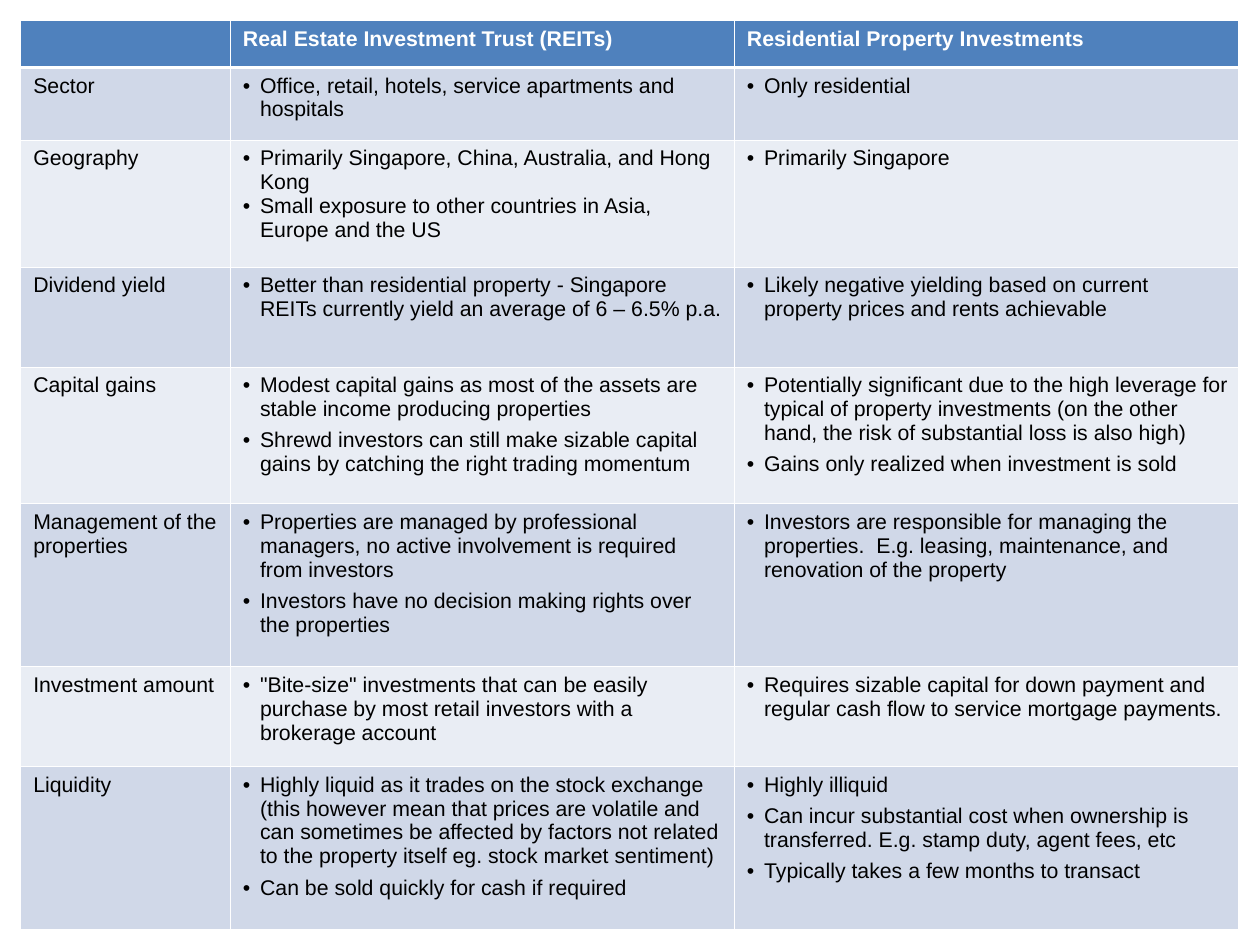
import pptx
import pptx.util
import pptx.dml.color
import pptx.oxml
import pptx.oxml.ns
from pptx.util import Inches

COLORS = {"header": "4F81BD", "odd": "D0D8E8", "even": "E9EDF4",
          "white": "FFFFFF", "text": "000000"}
COLUMN_WIDTHS = [2.33, 5.6, 5.6]
ROW_HEIGHTS = [0.52, 0.81, 1.41, 1.11, 1.52, 1.81, 1.11, 1.81]
HEADINGS = ["", "Real Estate Investment Trust (REITs)",
            "Residential Property Investments"]
# Topic, REIT points, residential points, space after each point
TOPICS = [
    ("Sector",
     ["Office, retail, hotels, service apartments and hospitals"],
     ["Only residential"], 0),
    ("Geography",
     ["Primarily Singapore, China, Australia, and Hong Kong",
      "Small exposure to other countries in Asia, Europe and the US"],
     ["Primarily Singapore"], 0),
    ("Dividend yield",
     ["Better than residential property - Singapore REITs currently yield "
      "an average of 6 – 6.5% p.a."],
     ["Likely negative yielding based on current property prices and rents "
      "achievable"], 0),
    ("Capital gains",
     ["Modest capital gains as most of the assets are stable income "
      "producing properties",
      "Shrewd investors can still make sizable capital gains by catching "
      "the right trading momentum"],
     ["Potentially significant due to the high leverage for typical of "
      "property investments (on the other hand, the risk of substantial "
      "loss is also high)",
      "Gains only realized when investment is sold"], 6),
    ("Management of the properties",
     ["Properties are managed by professional managers, no active "
      "involvement is required from investors",
      "Investors have no decision making rights over the properties"],
     ["Investors are responsible for managing the properties.  E.g. "
      "leasing, maintenance, and renovation of the property"], 6),
    ("Investment amount",
     ['"Bite-size" investments that can be easily purchase by most retail '
      "investors with a brokerage account"],
     ["Requires sizable capital for down payment and regular cash flow to "
      "service mortgage payments."], 0),
    ("Liquidity",
     ["Highly liquid as it trades on the stock exchange (this however mean "
      "that prices are volatile and can sometimes be affected by factors "
      "not related to the property itself eg. stock market sentiment)",
      "Can be sold quickly for cash if required"],
     ["Highly illiquid",
      "Can incur substantial cost when ownership is transferred. E.g. stamp "
      "duty, agent fees, etc",
      "Typically takes a few months to transact"], 6),
]


def color(name):
    """Return the named colour as an RGBColor."""
    return pptx.dml.color.RGBColor.from_string(COLORS[name])


def add_borders(cell, top=1, bottom=1):
    """Give a cell white borders, with widths in points."""
    properties = cell._tc.get_or_add_tcPr()
    for side, width in (("L", 1), ("R", 1), ("T", top), ("B", bottom)):
        properties.append(pptx.oxml.parse_xml(
            f'<a:ln{side} {pptx.oxml.ns.nsdecls("a")} w="{pptx.util.Pt(width)}">'
            f'<a:solidFill><a:srgbClr val="{COLORS["white"]}"/></a:solidFill>'
            f'</a:ln{side}>'))


def add_bullet(para):
    """Give a paragraph a round bullet and a hanging indent."""
    properties = para._p.get_or_add_pPr()
    properties.set("marL", str(Inches(0.19)))
    properties.set("indent", str(-Inches(0.19)))
    for tag in ('buFont typeface="Arial"', 'buChar char="•"'):
        name, attribute = tag.split(" ")
        properties.append(pptx.oxml.parse_xml(
            f'<a:{name} {pptx.oxml.ns.nsdecls("a")} {attribute}/>'))


def fill_cell(cell, lines, fill, ink="text", bold=False, bullets=False, gap=0):
    """Write lines into a cell and style it."""
    cell.margin_left, cell.margin_right = Inches(0.14), Inches(0.11)
    cell.margin_top, cell.margin_bottom = Inches(0.07), Inches(0.14)
    cell.fill.solid()
    cell.fill.fore_color.rgb = color(fill)
    cell.text_frame.text = "\n".join(lines)
    for para in cell.text_frame.paragraphs:
        para.space_after = pptx.util.Pt(gap)
        if bullets:
            add_bullet(para)
        for span in para.runs:
            span.font.name = "Arial"
            span.font.size = pptx.util.Pt(17)
            span.font.bold = bold
            span.font.color.rgb = color(ink)


def add_comparison(page, left, top):
    """Place the comparison table with its corner at left, top."""
    frame = page.shapes.add_table(
        len(ROW_HEIGHTS), len(COLUMN_WIDTHS), Inches(left), Inches(top),
        Inches(sum(COLUMN_WIDTHS)), Inches(sum(ROW_HEIGHTS)))
    table = frame.table
    for column, width in zip(table.columns, COLUMN_WIDTHS):
        column.width = Inches(width)
    for row, height in zip(table.rows, ROW_HEIGHTS):
        row.height = Inches(height)
    for index, heading in enumerate(HEADINGS):
        cell = table.cell(0, index)
        add_borders(cell, bottom=3)
        fill_cell(cell, [heading], "header", ink="white", bold=True)
    for number, (topic, reits, residential, gap) in enumerate(TOPICS, 1):
        fill = "odd" if number % 2 else "even"
        for index, lines in enumerate(([topic], reits, residential)):
            cell = table.cell(number, index)
            add_borders(cell, top=3 if number == 1 else 1)
            fill_cell(cell, lines, fill, bullets=index > 0,
                      gap=gap if len(lines) > 1 else 0)


deck = pptx.Presentation()
deck.slide_width, deck.slide_height = Inches(14), Inches(10.5)
comparison_page = deck.slides.add_slide(deck.slide_layouts[6])
add_comparison(comparison_page, 0.23, 0.23)
deck.save("out.pptx")
